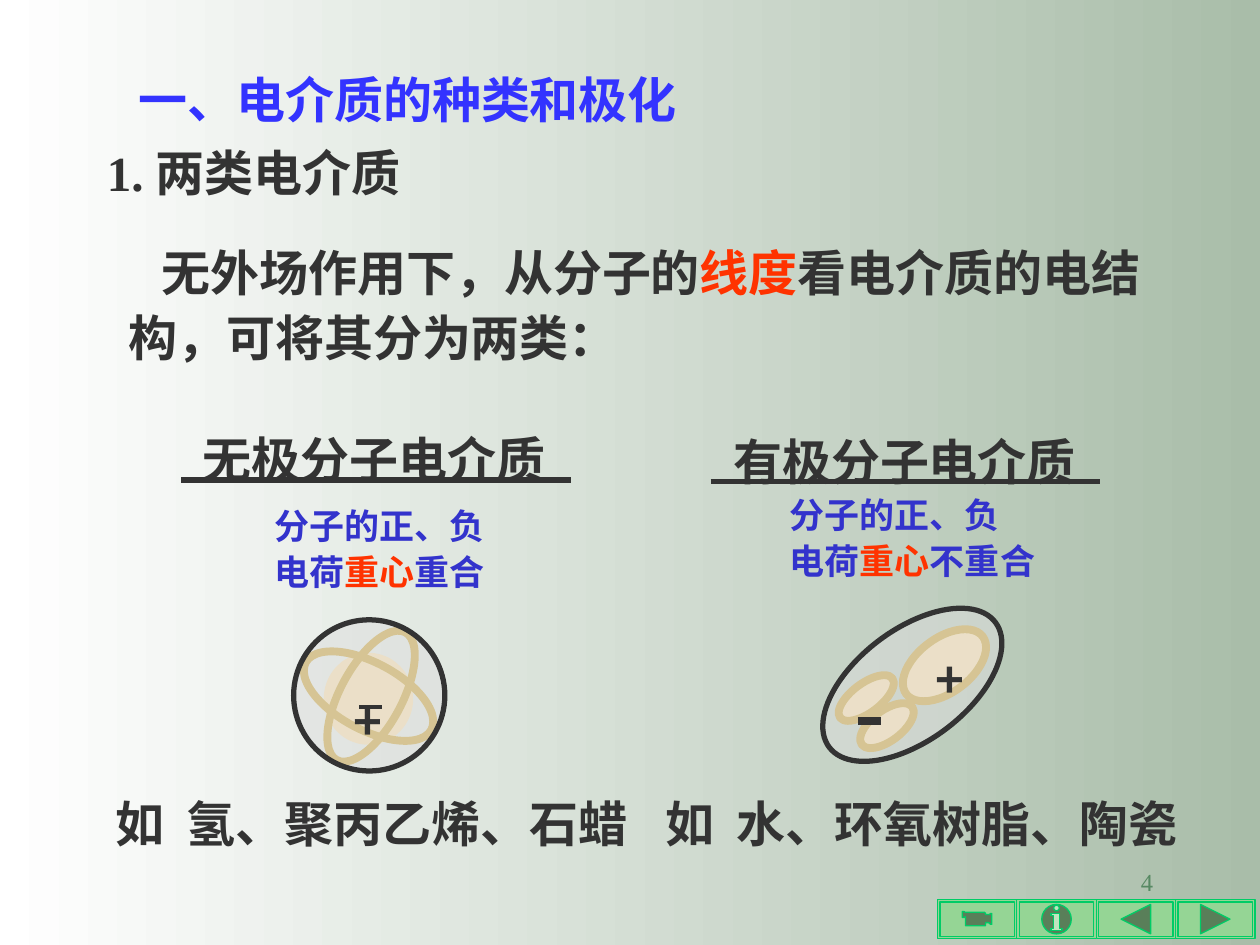
import pptx
import pptx.util
import pptx.dml.color
import pptx.enum.shapes
import pptx.enum.text
import pptx.oxml.ns
import lxml.etree

Pt = pptx.util.Pt
qn = pptx.oxml.ns.qn
Kind = pptx.enum.shapes.MSO_SHAPE
Align = pptx.enum.text.PP_ALIGN

HUES = {
    "ink": "333333", "blue": "3333FF", "navy": "3333CC", "red": "FF3300",
    "white": "FFFFFF", "sage": "A9BDA9", "page": "578963",
    "button": "95D595", "edge": "00CC66",
    "cream": "FAE3B3", "gold": "CFAC4B", "shell": "DDDDDD",
}
SERIF, SANS = "Times New Roman", "Noto Sans CJK SC"

# Content: each line is a list of (text, colour) runs
TITLE = [[("一、电介质的种类和极化", "blue")]]
POINT = [[("1. 两类电介质", "ink")]]
BODY = [[("无外场作用下，从分子的", "ink"), ("线度", "red"),
         ("看电介质的电结构，可将其分为两类：", "ink")]]

# Two kinds of matter: labels are text, centre and top
COLUMNS = [
    {"head": ("无极分子电介质", 213.7, 241.9),
     "rule": (103.7, 274.3),
     "end": "重合", "note": (149.8, 282.2),
     "case": ("如  氢、聚丙乙烯、石蜡", 212.3, 450)},
    {"head": ("有极分子电介质", 516.9, 242.9),
     "rule": (406.1, 275),
     "end": "不重合", "note": (444.2, 275.8),
     "case": ("如  水、环氧树脂、陶瓷", 526.6, 450)},
]

# Ellipses: box, turn, fill, line, line width
ORBS = [
    ((185, 373, 51.1, 52.6), 0, "cream", None, 0),
    ((169.9, 378.7, 81.4, 38.2), 28.2, None, "gold", 4.5),
    ((170.6, 380.2, 82.8, 35.3), 118.2, None, "gold", 4.5),
    ((167.8, 354.2, 86.4, 86.4), 0, "shell", "ink", 3),
]
TURN = 53.1
LOBES = [(524.2, 352.8, 31, 54.7), (498.2, 396.7, 17.3, 36), (486.7, 380.2, 16.6, 37.4)]
for lobe in LOBES:
    ORBS.append((lobe, TURN, "cream", "gold", 4.5))
ORBS.append(((489.6, 331.9, 63.4, 118.8), TURN, "shell", "ink", 3))

# Charge signs: plus with centre and top, minus with ends and width
PLUSES = [("+", 210.3, 391.7), ("+", 542.9, 367.7)]
MINUSES = [((205.2, 403.9, 218.2, 403.9), 2.25), ((490.3, 412.2, 503.3, 412.2), 4.5)]

BUTTONS = [Kind.ACTION_BUTTON_MOVIE, Kind.ACTION_BUTTON_INFORMATION,
           Kind.ACTION_BUTTON_BACK_OR_PREVIOUS, Kind.ACTION_BUTTON_FORWARD_OR_NEXT]
WIDE, HIGH, BEVEL = 45.36, 22.5, 1.4


def hue(name):
    return pptx.dml.color.RGBColor.from_string(HUES[name])


def place(shape, box):
    shape.left, shape.top, shape.width, shape.height = [Pt(v) for v in box]


def write(shape, lines, size, font=SERIF, bold=True, space=1.0, align=Align.LEFT):
    frame = shape.text_frame
    frame.text = "\n".join("".join(text for text, _ in line) for line in lines)
    frame.word_wrap = True
    frame.auto_size = pptx.enum.text.MSO_AUTO_SIZE.NONE
    frame.vertical_anchor = pptx.enum.text.MSO_ANCHOR.TOP
    for para, line in zip(frame.paragraphs, lines):
        para.alignment = align
        para.line_spacing = space
        para.space_before = Pt(0)
        para.runs[0].text = line[0][0]
        for text, _ in line[1:]:
            para.add_run().text = text
        for run, (_, tint) in zip(para.runs, line):
            run.font.size, run.font.bold, run.font.name = Pt(size), bold, font
            run.font.color.rgb = hue(tint)
            asian = lxml.etree.SubElement(run.font._element, qn("a:ea"))
            asian.set("typeface", SANS)


def add_text(box, lines, size, **look):
    shape = slide.shapes.add_textbox(*[Pt(v) for v in box])
    write(shape, lines, size, **look)


def add_label(text, mid, top, width):
    add_text((mid - width / 2, top, width, 48), [[(text, "ink")]], 28,
             font=SANS, align=Align.CENTER)


def add_line(ends, width):
    line = slide.shapes.add_connector(
        pptx.enum.shapes.MSO_CONNECTOR.STRAIGHT, *[Pt(v) for v in ends])
    line.line.color.rgb, line.line.width = hue("ink"), Pt(width)
    lxml.etree.SubElement(line._element.spPr, qn("a:effectLst"))


def add_form(kind, box, fill, edge, width):
    shape = slide.shapes.add_shape(kind, *[Pt(v) for v in box])
    shape.shadow.inherit = False
    if fill:
        shape.fill.solid()
        shape.fill.fore_color.rgb = hue(fill)
    else:
        shape.fill.background()
    if edge:
        shape.line.color.rgb, shape.line.width = hue(edge), Pt(width)
    else:
        shape.line.fill.background()
    return shape


deck = pptx.Presentation()
deck.slide_width, deck.slide_height = Pt(720), Pt(540)
slide = deck.slides.add_slide(deck.slide_layouts[1])

# Background
back = slide.background.fill
back.gradient()
back.gradient_angle = 0
for stop, name, spot in zip(back.gradient_stops, ("white", "sage"), (0, 1)):
    stop.color.rgb, stop.position = hue(name), spot

# Title, heading and opening text
title, body = slide.placeholders
place(title, (72, 36, 348, 41))
write(title, TITLE, 28)
add_text((54, 77.8, 342, 41), POINT, 28)
place(body, (66.2, 131.8, 606.2, 81.4))
write(body, BODY, 28, space=1.1)
props = body.text_frame.paragraphs[0]._p.get_or_add_pPr()
props.set("marL", "0")
props.set("indent", str(Pt(19)))
lxml.etree.SubElement(props, qn("a:buNone"))

# Two columns
for col in COLUMNS:
    add_label(*col["head"], 222)
    add_label(*col["case"], 312)
    left, top = col["rule"]
    add_line((left, top, left + 222.5, top), 3)
    note = [[("分子的正、负", "navy")],
            [("电荷", "navy"), ("重心", "red"), (col["end"], "navy")]]
    add_text((*col["note"], 156.2, 60.5), note, 20, space=1.1)

# Molecules
for box, turn, fill, edge, width in ORBS:
    orb = add_form(Kind.OVAL, box, fill, edge, width)
    orb.rotation = turn
    if fill == "shell":
        tint = orb._element.spPr.find(qn("a:solidFill"))[0]
        lxml.etree.SubElement(tint, qn("a:alpha")).set("val", "50000")
for plus in PLUSES:
    add_label(*plus, 44)
for ends, width in MINUSES:
    add_line(ends, width)

# Page number and bevelled buttons
add_text((516.2, 491.8, 149.8, 28), [[("4", "page")]], 14, bold=False,
         align=Align.RIGHT)
for i, kind in enumerate(BUTTONS):
    left, top = 535.7 + WIDE * i, 514
    add_form(kind, (left, top, WIDE, HIGH), "button", "edge", 0.75)
    inner = (left + BEVEL, top + BEVEL, WIDE - 2 * BEVEL, HIGH - 2 * BEVEL)
    add_form(Kind.RECTANGLE, inner, None, "edge", 0.75)

deck.save("out.pptx")
